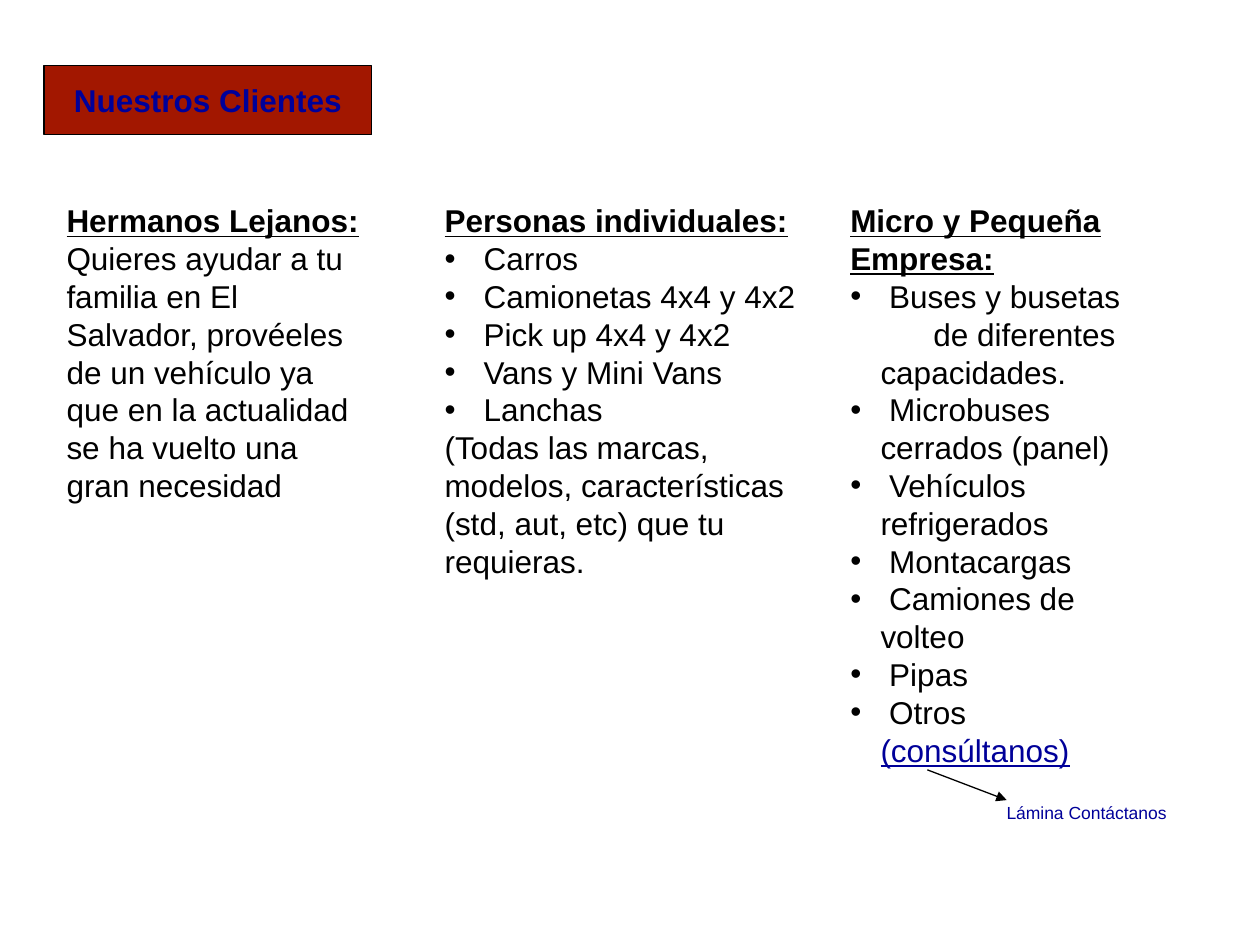
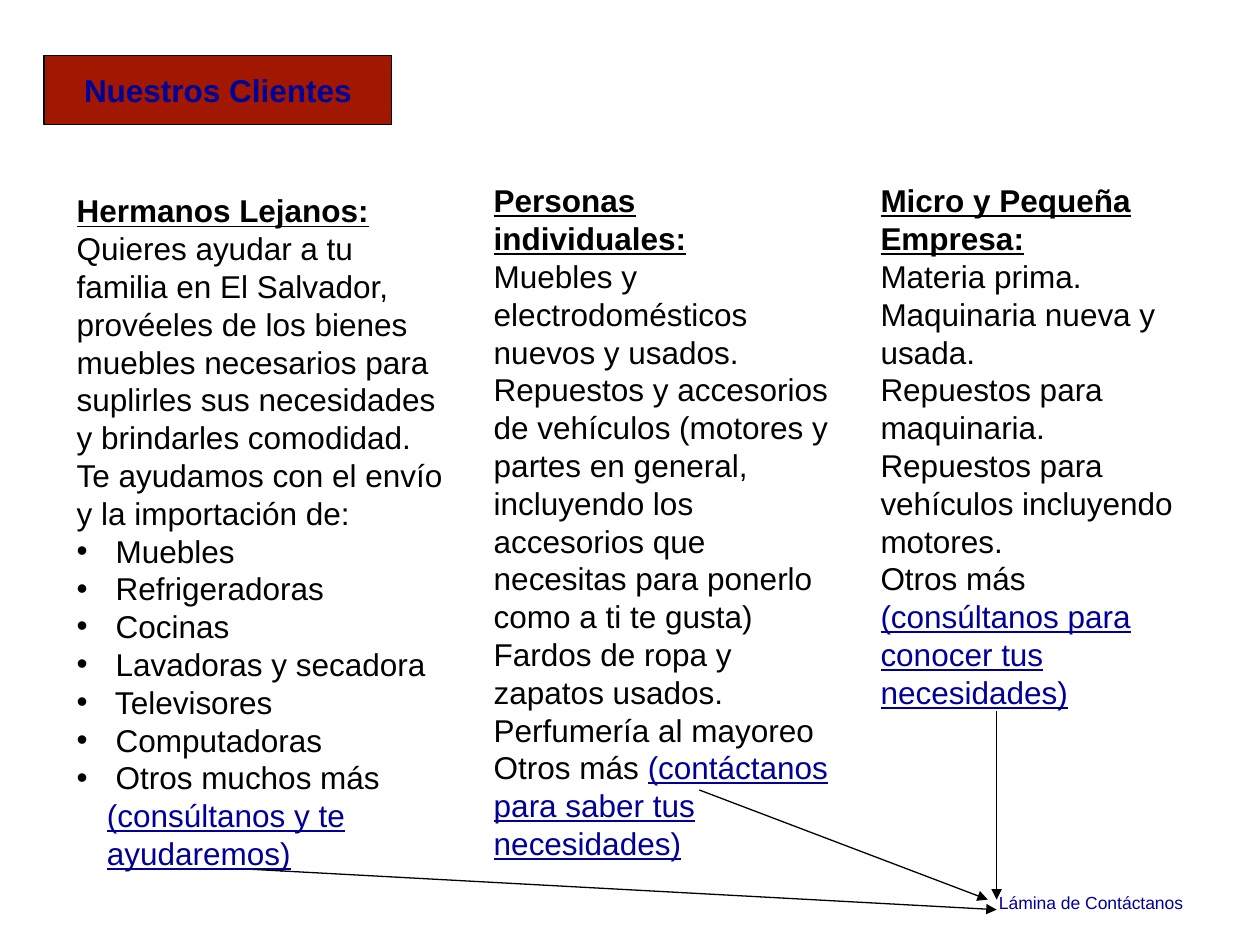
from lxml import etree
from pptx import Presentation
from pptx.dml.color import RGBColor
from pptx.enum.shapes import MSO_CONNECTOR
from pptx.enum.text import MSO_ANCHOR, MSO_AUTO_SIZE, PP_ALIGN
from pptx.oxml.ns import qn
from pptx.util import Inches, Pt

STRAIGHT = MSO_CONNECTOR.STRAIGHT
MIDDLE = MSO_ANCHOR.MIDDLE
NO_AUTOFIT = MSO_AUTO_SIZE.NONE
CENTER = PP_ALIGN.CENTER

FONT = "Arial"
RED, BLUE, BLACK = "A21700", "000099", "000000"
BODY_SIZE, LABEL_SIZE = 18, 10
LINE_HEIGHT = 1.2
HANGING = 0.24

TITLE = "Nuestros Clientes"
FAMILY, PEOPLE, BUSINESS = (
    "Hermanos Lejanos:", "Personas individuales:", "Micro y Pequeña Empresa:")

# Each column: box (left, top, width, height), heading, then (style, text, link) lines.
SLIDES = [
    {
        "title_box": (0.35, 0.52, 2.6, 0.55),
        "columns": [
            ((0.43, 1.55, 2.6, 2.5), FAMILY, [
                ("plain", "Quieres ayudar a tu familia en El Salvador, provéeles de un "
                 "vehículo ya que en la actualidad se ha vuelto una gran necesidad", ""),
            ]),
            ((3.43, 1.55, 3.15, 3.1), PEOPLE, [
                ("bullet", "Carros", ""),
                ("bullet", "Camionetas 4x4 y 4x2", ""),
                ("bullet", "Pick up 4x4 y 4x2", ""),
                ("bullet", "Vans y Mini Vans", ""),
                ("bullet", "Lanchas", ""),
                ("plain", "(Todas las marcas, modelos, características (std, aut, etc) "
                 "que tu requieras.", ""),
            ]),
            ((6.65, 1.55, 2.36, 4.6), BUSINESS, [
                ("bullet", "Buses y busetas", ""),
                ("continued", "de diferentes capacidades.", ""),
                ("bullet", "Microbuses cerrados (panel)", ""),
                ("bullet", "Vehículos refrigerados", ""),
                ("bullet", "Montacargas", ""),
                ("bullet", "Camiones de volteo", ""),
                ("bullet", "Pipas", ""),
                ("bullet", "Otros ", "(consúltanos)"),
            ]),
        ],
        "label": ("Lámina Contáctanos", (7.89, 6.32, 1.47, 0.27)),
        "arrows": [((7.36, 6.11), (7.99, 6.35))],
    },
    {
        "title_box": (0.35, 0.44, 2.76, 0.55),
        "columns": [
            ((0.51, 1.47, 3.13, 5.5), FAMILY, [
                ("plain", "Quieres ayudar a tu familia en El Salvador, provéeles de los "
                 "bienes muebles necesarios para suplirles sus necesidades y brindarles "
                 "comodidad. Te ayudamos con el envío y la importación de:", ""),
                ("bullet", "Muebles", ""),
                ("bullet", "Refrigeradoras", ""),
                ("bullet", "Cocinas", ""),
                ("bullet", "Lavadoras y secadora", ""),
                ("bullet", "Televisores", ""),
                ("bullet", "Computadoras", ""),
                ("bullet", "Otros muchos más ", "(consúltanos y te ayudaremos)"),
            ]),
            ((3.82, 1.39, 2.91, 5.5), PEOPLE, [
                ("plain", "Muebles y electrodomésticos nuevos y usados.", ""),
                ("plain", "Repuestos y accesorios de vehículos (motores y partes en "
                 "general, incluyendo los accesorios que necesitas para ponerlo como a "
                 "ti te gusta)", ""),
                ("plain", "Fardos de ropa y zapatos usados.", ""),
                ("plain", "Perfumería al mayoreo", ""),
                ("plain", "Otros más ", "(contáctanos para saber tus necesidades)"),
            ]),
            ((6.89, 1.39, 2.76, 4.3), BUSINESS, [
                ("plain", "Materia prima.", ""),
                ("plain", "Maquinaria nueva y usada.", ""),
                ("plain", "Repuestos para maquinaria.", ""),
                ("plain", "Repuestos para vehículos incluyendo motores.", ""),
                ("plain", "Otros más ", "(consúltanos para conocer tus necesidades)"),
            ]),
        ],
        "label": ("Lámina de Contáctanos", (7.83, 7.03, 1.66, 0.27)),
        "arrows": [
            ((2.01, 6.9), (7.91, 7.22)),
            ((5.55, 6.27), (7.84, 7.14)),
            ((7.91, 5.64), (7.91, 7.14)),
        ],
    },
]


def color(hex_code):
    return RGBColor.from_string(hex_code)


def inches(values):
    return [Inches(value) for value in values]


def add_run(paragraph, text, *, size=BODY_SIZE, ink=BLACK, bold=False, underline=False):
    run = paragraph.add_run()
    run.text = text
    run.font.name = FONT
    run.font.size = Pt(size)
    run.font.bold = bold
    run.font.underline = underline
    run.font.color.rgb = color(ink)
    paragraph.line_spacing = Pt(size * LINE_HEIGHT)


def set_indent(paragraph, style):
    """Hang a bullet, or push in the first line of a bullet's continuation."""
    if style == "plain":
        return
    first_line = -HANGING if style == "bullet" else 0.42
    properties = paragraph._p.get_or_add_pPr()
    properties.set("marL", str(Inches(HANGING)))
    properties.set("indent", str(Inches(first_line)))
    if style == "bullet":
        bullet_font = etree.SubElement(properties, qn("a:buFont"))
        bullet_font.set("typeface", FONT)
        etree.SubElement(properties, qn("a:buChar")).set("char", "•")


def add_title(slide, box):
    title = slide.shapes.title
    title.left, title.top, title.width, title.height = inches(box)
    title.fill.solid()
    title.fill.fore_color.rgb = color(RED)
    title.line.color.rgb = color(BLACK)
    title.line.width = Pt(0.75)
    frame = title.text_frame
    frame.auto_size = NO_AUTOFIT
    frame.word_wrap = False
    frame.vertical_anchor = MIDDLE
    frame.paragraphs[0].alignment = CENTER
    add_run(frame.paragraphs[0], TITLE, ink=BLUE, bold=True)


def add_column(slide, box, heading, lines):
    frame = slide.shapes.add_textbox(*inches(box)).text_frame
    frame.word_wrap = True
    add_run(frame.paragraphs[0], heading, bold=True, underline=True)
    for style, text, link in lines:
        paragraph = frame.add_paragraph()
        add_run(paragraph, " " + text if style == "bullet" else text)
        if link:
            add_run(paragraph, link, ink=BLUE, underline=True)
        set_indent(paragraph, style)


def add_label(slide, text, box):
    frame = slide.shapes.add_textbox(*inches(box)).text_frame
    frame.word_wrap = False
    add_run(frame.paragraphs[0], text, size=LABEL_SIZE, ink=BLUE)


def add_arrow(slide, start, end):
    arrow = slide.shapes.add_connector(STRAIGHT, *inches(start + end))
    arrow.line.color.rgb = color(BLACK)
    arrow.line.width = Pt(0.75)
    outline = arrow.line._get_or_add_ln()
    etree.SubElement(outline, qn("a:tailEnd")).set("type", "triangle")
    etree.SubElement(arrow._element.spPr, qn("a:effectLst"))


def main():
    deck = Presentation()
    deck.slide_width, deck.slide_height = Inches(10), Inches(7.5)
    title_only = deck.slide_layouts[5]
    for content in SLIDES:
        slide = deck.slides.add_slide(title_only)
        add_title(slide, content["title_box"])
        for column in content["columns"]:
            add_column(slide, *column)
        add_label(slide, *content["label"])
        for arrow in content["arrows"]:
            add_arrow(slide, *arrow)
    deck.save("out.pptx")


if __name__ == "__main__":
    main()
